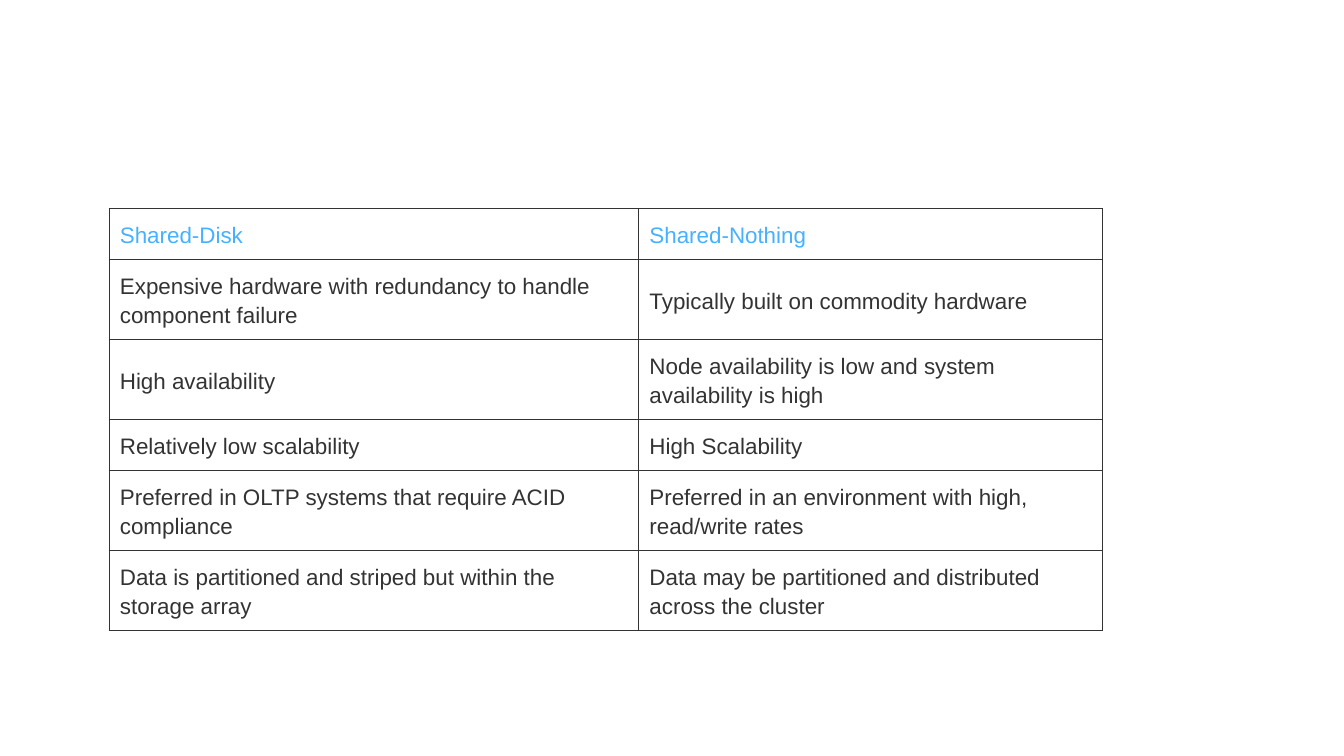
"""Build a slide with a table comparing shared-disk and shared-nothing systems."""
import pptx
import pptx.dml.color
import pptx.enum.text
import pptx.oxml
import pptx.oxml.ns
import pptx.util

Pt = pptx.util.Pt
COLORS = {"heading": "46B1FF", "body": "333333", "border": "333333"}
ROWS = [
    ("Shared-Disk", "Shared-Nothing"),
    ("Expensive hardware with redundancy to handle component failure",
     "Typically built on commodity hardware"),
    ("High availability", "Node availability is low and system availability is high"),
    ("Relatively low scalability", "High Scalability"),
    ("Preferred in OLTP systems that require ACID compliance",
     "Preferred in an environment with high, read/write rates"),
    ("Data is partitioned and striped but within the storage array",
     "Data may be partitioned and distributed across the cluster"),
]
COL_WIDTHS = [283.7, 248.4]
ROW_HEIGHTS = [27.3, 42.9, 42.9, 27.3, 42.9, 42.9]


def write_text(tf, text, size=12, font="Arial", color="body", spacing=1.15):
    p = tf.paragraphs[0]
    p.line_spacing = spacing
    r = p.add_run()
    r.text = text
    r.font.size = Pt(size)
    r.font.name = font
    r.font.color.rgb = pptx.dml.color.RGBColor.from_string(COLORS[color])


def add_borders(cell, color="border", width=0.75):
    tcPr = cell._tc.get_or_add_tcPr()
    for side in ("lnL", "lnR", "lnT", "lnB"):
        tcPr.append(pptx.oxml.parse_xml(
            f'<a:{side} {pptx.oxml.ns.nsdecls("a")} w="{Pt(width)}"><a:solidFill>'
            f'<a:srgbClr val="{COLORS[color]}"/></a:solidFill></a:{side}>'))


prs = pptx.Presentation()
prs.slide_width, prs.slide_height = Pt(720), Pt(405)
s = prs.slides.add_slide(prs.slide_layouts[6])

table = s.shapes.add_table(len(ROWS), len(COL_WIDTHS), Pt(58.5), Pt(111.7),
                           Pt(sum(COL_WIDTHS)), Pt(sum(ROW_HEIGHTS))).table
table.first_row = False
table.horz_banding = False
for col, width in zip(table.columns, COL_WIDTHS):
    col.width = Pt(width)
for row, height in zip(table.rows, ROW_HEIGHTS):
    row.height = Pt(height)

for i, texts in enumerate(ROWS):
    for j, text in enumerate(texts):
        cell = table.cell(i, j)
        cell.vertical_anchor = pptx.enum.text.MSO_ANCHOR.MIDDLE
        cell.margin_left = cell.margin_right = Pt(5.75)
        cell.margin_top = cell.margin_bottom = Pt(5.75)
        add_borders(cell)
        cell.fill.background()
        write_text(cell.text_frame, text, color="body" if i else "heading")

prs.save("out.pptx")
